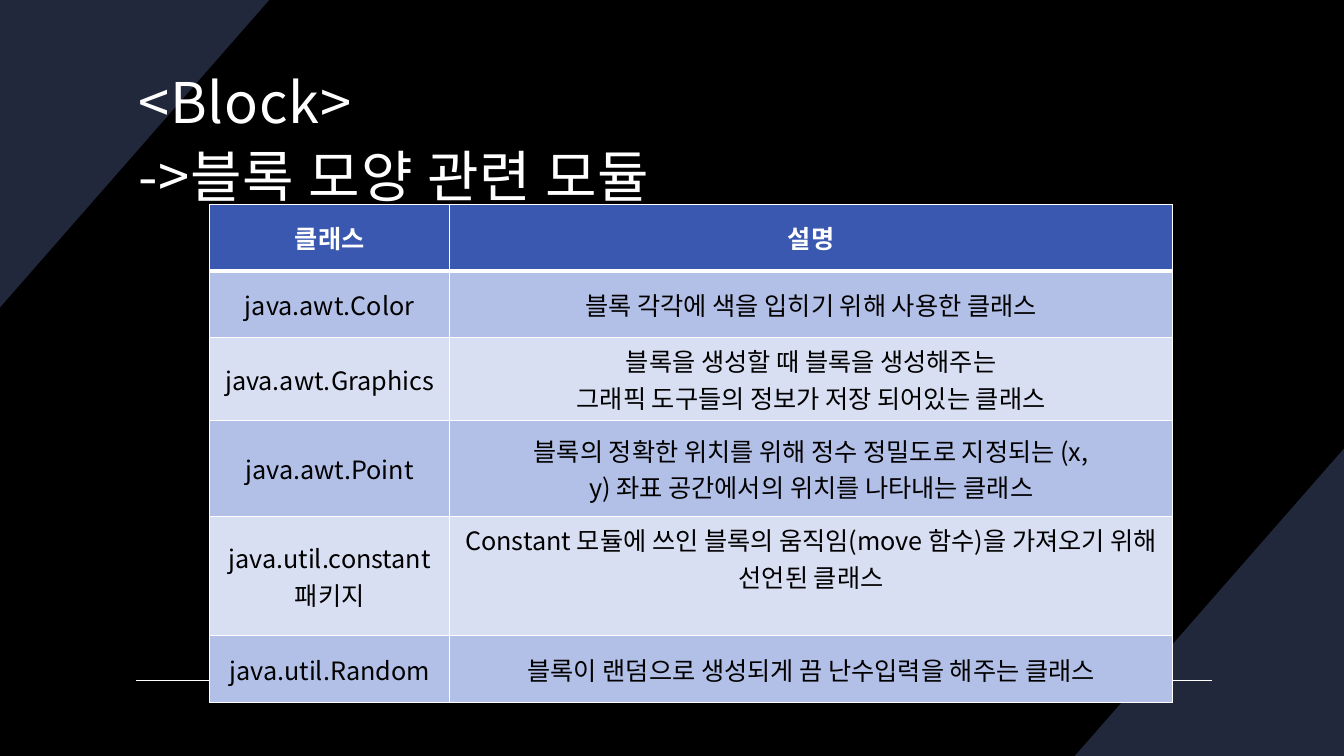
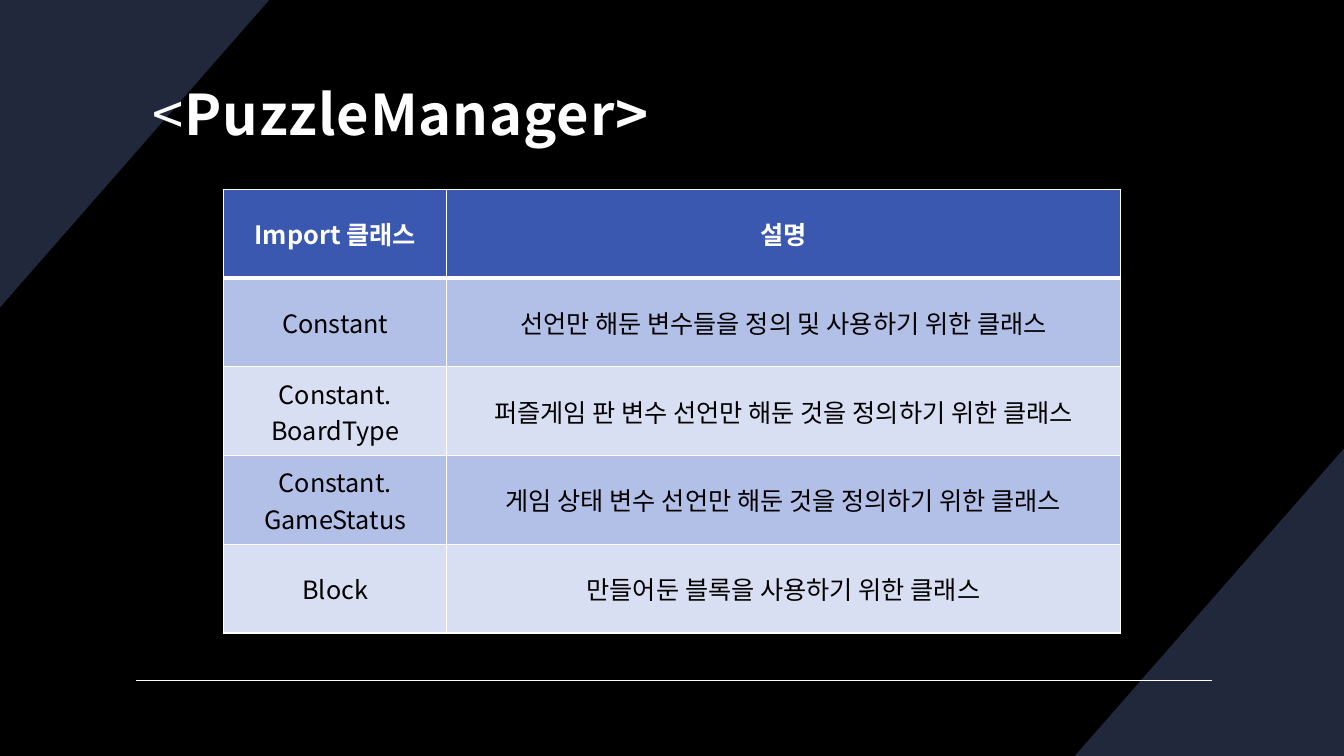
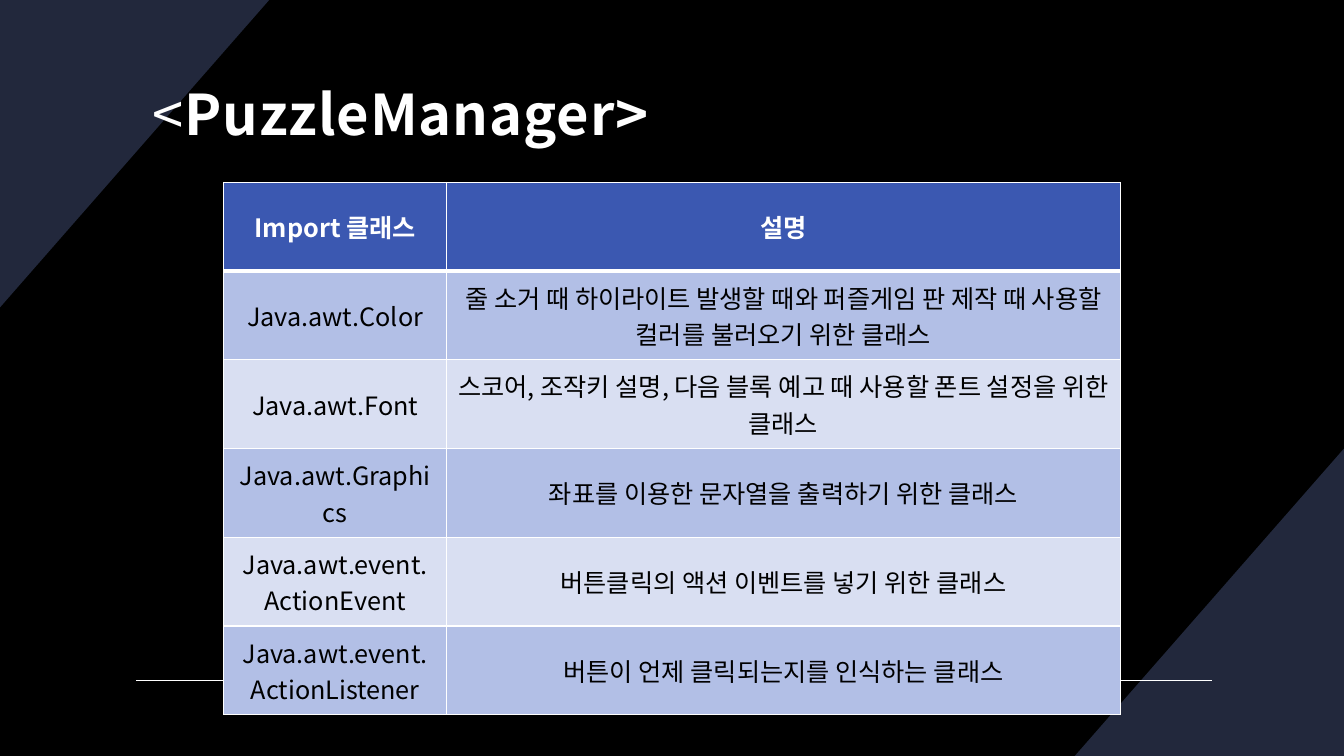
"""Build three dark slides that list the classes used by a block game."""
from lxml import etree
from pptx import Presentation
from pptx.dml.color import RGBColor
from pptx.enum.shapes import MSO_CONNECTOR
from pptx.enum.text import MSO_ANCHOR, MSO_AUTO_SIZE, PP_ALIGN
from pptx.oxml.ns import qn
from pptx.util import Inches, Pt

STRAIGHT = MSO_CONNECTOR.STRAIGHT
MIDDLE = MSO_ANCHOR.MIDDLE
NO_FIT = MSO_AUTO_SIZE.NONE
LEFT, CENTER = PP_ALIGN.LEFT, PP_ALIGN.CENTER

FONT = "Noto Sans CJK KR"
COLORS = {
    "back": "000000",
    "corner": "22283C",
    "light": "FFFFFF",
    "dark": "000000",
    "header": "3B58B1",
    "odd": "B2BFE6",
    "even": "D9DFF2",
}
WIDTH, HEIGHT = 13.33, 7.5
CORNER_WIDTH, CORNER_HEIGHT = 2.67, 3.05
CORNERS = [
    [(WIDTH, HEIGHT - CORNER_HEIGHT), (WIDTH, HEIGHT), (WIDTH - CORNER_WIDTH, HEIGHT)],
    [(0, CORNER_HEIGHT), (0, 0), (CORNER_WIDTH, 0)],
]
CELL_MARGIN = 0.05
TITLE_INSET = 0.12
MANAGER_TITLE = {
    "runs": [("<", False), ("PuzzleManager>", True)],
    "top": 0.33, "left_inset": 0.26, "bottom_inset": 0.1,
}

SLIDES = [
    {
        "title": {
            "runs": [("<Block>\n->블록 모양 관련 모듈", False)],
            "top": 0.95, "left_inset": TITLE_INSET, "bottom_inset": 0.83,
        },
        "at": (2.08, 2.03),
        "columns": (2.38, 7.17),
        "row_heights": (0.66, 0.66, 0.82, 0.95, 1.18, 0.66),
        "bottom_margins": {(4, 1): 0.41},
        "rows": [
            ("클래스", "설명"),
            ("java.awt.Color", "블록 각각에 색을 입히기 위해 사용한 클래스"),
            ("java.awt.Graphics",
             "블록을 생성할 때 블록을 생성해주는\n그래픽 도구들의 정보가 저장 되어있는 클래스"),
            ("java.awt.Point",
             "블록의 정확한 위치를 위해 정수 정밀도로 지정되는 (x,\n"
             "y) 좌표 공간에서의 위치를 나타내는 클래스"),
            ("java.util.constant패키지",
             "Constant 모듈에 쓰인 블록의 움직임(move 함수)을 가져오기 위해 선언된 클래스"),
            ("java.util.Random", "블록이 랜덤으로 생성되게 끔 난수입력을 해주는 클래스"),
        ],
    },
    {
        "title": MANAGER_TITLE,
        "at": (2.22, 1.88),
        "columns": (2.21, 6.68),
        "row_heights": (0.88,) * 5,
        "bottom_margins": {},
        "rows": [
            ("Import 클래스", "설명"),
            ("Constant", "선언만 해둔 변수들을 정의 및 사용하기 위한 클래스"),
            ("Constant.\nBoardType", "퍼즐게임 판 변수 선언만 해둔 것을 정의하기 위한 클래스"),
            ("Constant.\nGameStatus", "게임 상태 변수 선언만 해둔 것을 정의하기 위한 클래스"),
            ("Block", "만들어둔 블록을 사용하기 위한 클래스"),
        ],
    },
    {
        "title": MANAGER_TITLE,
        "at": (2.22, 1.81),
        "columns": (2.21, 6.68),
        "row_heights": (0.88,) * 6,
        "bottom_margins": {},
        "rows": [
            ("Import 클래스", "설명"),
            ("Java.awt.Color",
             "줄 소거 때 하이라이트 발생할 때와 퍼즐게임 판 제작 때 사용할 컬러를 불러오기 위한 클래스"),
            ("Java.awt.Font",
             "스코어, 조작키 설명, 다음 블록 예고 때 사용할 폰트 설정을 위한 클래스"),
            ("Java.awt.Graphics", "좌표를 이용한 문자열을 출력하기 위한 클래스"),
            ("Java.awt.event.\nActionEvent", "버튼클릭의 액션 이벤트를 넣기 위한 클래스"),
            ("Java.awt.event.\nActionListener", "버튼이 언제 클릭되는지를 인식하는 클래스"),
        ],
    },
]


def color(name):
    return RGBColor.from_string(COLORS[name])


def add_text(para, text, size, color_name, bold=False, spacing=None):
    for number, line in enumerate(text.split("\n")):
        if number:
            para.add_line_break()
        span = para.add_run()
        span.text = line
        span.font.size = Pt(size)
        span.font.bold = bold
        span.font.name = FONT
        span.font.color.rgb = color(color_name)
        properties = span._r.get_or_add_rPr()
        etree.SubElement(properties, qn("a:ea"), typeface=FONT)
        if spacing:
            properties.set("spc", str(round(spacing * 100)))


def decorate_layout(layout, slide):
    """Draw the shared backdrop on the slide and move it to the layout."""
    layout.background.fill.solid()
    layout.background.fill.fore_color.rgb = color("back")
    for holder in list(layout.placeholders)[1:]:
        holder.element.getparent().remove(holder.element)
    parts = []
    for corner in CORNERS:
        points = [(Inches(x), Inches(y)) for x, y in corner]
        builder = slide.shapes.build_freeform(*points[0])
        builder.add_line_segments(points[1:], close=True)
        triangle = builder.convert_to_shape()
        triangle.shadow.inherit = False
        triangle.fill.solid()
        triangle.fill.fore_color.rgb = color("corner")
        triangle.line.fill.background()
        parts.append(triangle)
    rule = slide.shapes.add_connector(
        STRAIGHT, Inches(1.35), Inches(6.75), Inches(12.02), Inches(6.75))
    rule.line.color.rgb = color("light")
    rule.line.width = Pt(1)
    etree.SubElement(rule.element.spPr, qn("a:effectLst"))
    parts.append(rule)
    for index, part in enumerate(parts, start=2):
        layout.shapes.element.insert(index, part.element)


def fill_title(holder, title):
    holder.left, holder.top = Inches(1.25), Inches(title["top"])
    holder.width, holder.height = Inches(10.83), Inches(1.49)
    frame = holder.text_frame
    frame.auto_size = NO_FIT
    frame.word_wrap = True
    frame.vertical_anchor = MIDDLE
    frame.margin_left = Inches(title["left_inset"])
    frame.margin_top = frame.margin_right = Inches(TITLE_INSET)
    frame.margin_bottom = Inches(title["bottom_inset"])
    para = frame.paragraphs[0]
    para.alignment = LEFT
    para.line_spacing = 1.1
    for text, bold in title["runs"]:
        add_text(para, text, 40, "light", bold, 0.7)


def set_borders(cell, widths):
    properties = cell._tc.get_or_add_tcPr()
    for side, width in widths.items():
        line = etree.SubElement(properties, qn(f"a:ln{side}"), w=str(Pt(width)))
        fill = etree.SubElement(line, qn("a:solidFill"))
        etree.SubElement(fill, qn("a:srgbClr"), val=COLORS["light"])


def add_class_table(slide, content):
    rows, columns, heights = content["rows"], content["columns"], content["row_heights"]
    left, top = content["at"]
    table = slide.shapes.add_table(
        len(rows), len(columns), Inches(left), Inches(top),
        Inches(sum(columns)), Inches(sum(heights))).table
    for column, width in zip(table.columns, columns):
        column.width = Inches(width)
    for row, height in zip(table.rows, heights):
        row.height = Inches(height)
    for r, texts in enumerate(rows):
        is_header = r == 0
        band = "header" if is_header else "odd" if r % 2 else "even"
        borders = {"L": 1, "R": 1, "T": 3 if r == 1 else 1, "B": 3 if is_header else 1}
        for c, text in enumerate(texts):
            cell = table.cell(r, c)
            set_borders(cell, borders)
            cell.fill.solid()
            cell.fill.fore_color.rgb = color(band)
            cell.vertical_anchor = MIDDLE
            cell.margin_bottom = Inches(content["bottom_margins"].get((r, c), CELL_MARGIN))
            para = cell.text_frame.paragraphs[0]
            para.alignment = CENTER
            add_text(para, text, 18, "light" if is_header else "dark", is_header)


def main():
    deck = Presentation()
    deck.slide_width, deck.slide_height = Inches(WIDTH), Inches(HEIGHT)
    layout = deck.slide_layouts[5]
    for number, content in enumerate(SLIDES):
        slide = deck.slides.add_slide(layout)
        if number == 0:
            decorate_layout(layout, slide)
        fill_title(slide.shapes.title, content["title"])
        add_class_table(slide, content)
    deck.save("out.pptx")


if __name__ == "__main__":
    main()
